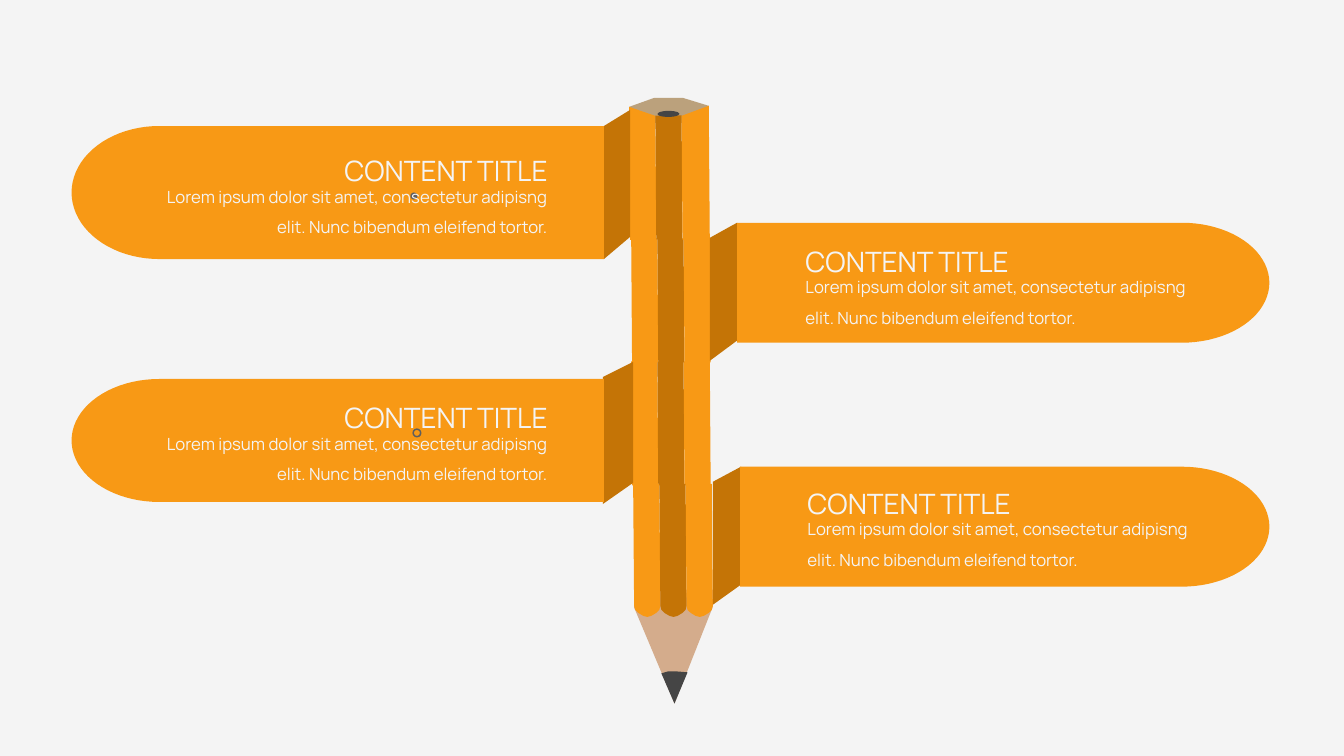
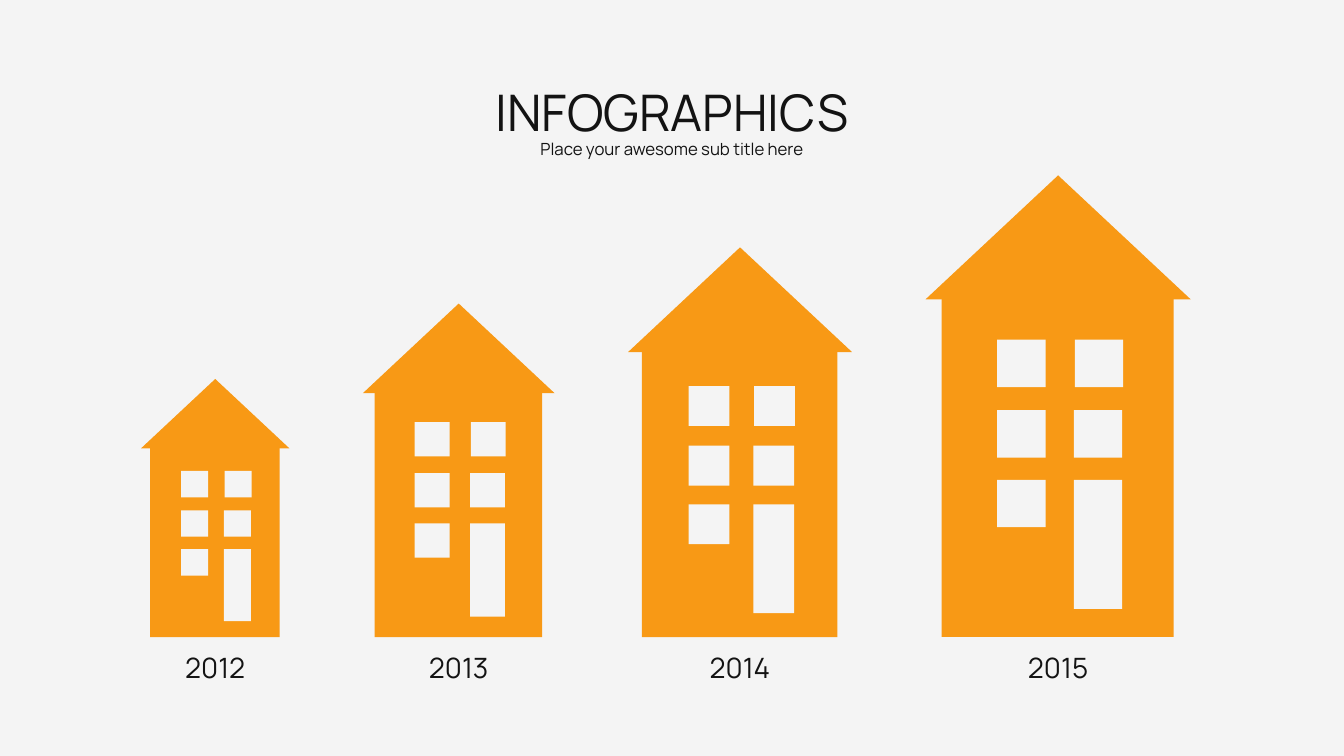
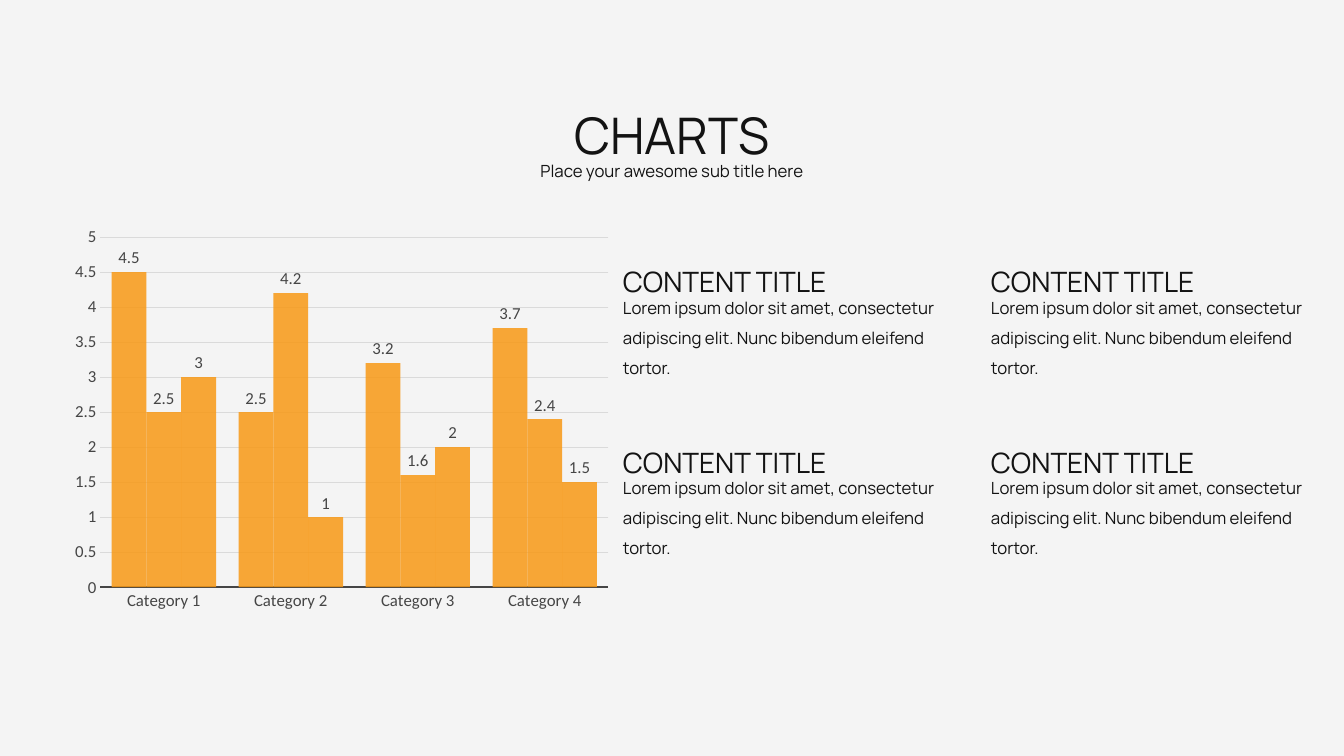
from math import cos, pi, sin

from lxml.etree import SubElement
from pptx import Presentation
from pptx.chart.data import CategoryChartData
from pptx.dml.color import RGBColor
from pptx.enum.chart import XL_CHART_TYPE as ChartType, XL_LABEL_POSITION as LabelPosition, XL_TICK_MARK as TickMark
from pptx.enum.shapes import MSO_SHAPE as Preset
from pptx.enum.text import MSO_AUTO_SIZE as AutoSize, PP_ALIGN as Align
from pptx.oxml.ns import qn
from pptx.util import Inches, Pt

COLORS = {
    "background": "F4F4F4",
    "orange": "F89915",
    "shade": "C47406",
    "wood": "BBA17C",
    "cone": "D4AC8C",
    "lead": "454545",
    "mark": "5E5E5E",
    "text": "131313",
    "grid": "DADADA",
    "chart": "070707",
}
FONT = "Manrope"
CHART_FONT = "Calibri"
SUBTITLE = "Place your awesome sub title here"
CONTENT_TITLE = "CONTENT TITLE"
BANNER_TEXT = "Lorem ipsum dolor sit amet, consectetur adipisng elit. Nunc bibendum eleifend tortor."
CONTENT_TEXT = "Lorem ipsum dolor sit amet, consectetur adipiscing elit. Nunc bibendum eleifend tortor."


def rgb(name):
    return RGBColor.from_string(COLORS[name])


def paint(shape, color):
    shape.shadow.inherit = False
    shape.fill.solid()
    shape.fill.fore_color.rgb = rgb(color)
    shape.line.fill.background()
    return shape


def add_preset(slide, preset, box, color, rotation=0):
    shape = paint(slide.shapes.add_shape(preset, *map(Inches, box)), color)
    shape.rotation = rotation
    return shape


def add_outline(slide, left, top, points, color):
    corners = [(Inches(left + x), Inches(top + y)) for x, y in points]
    builder = slide.shapes.build_freeform(*corners[0], scale=1.0)
    builder.add_line_segments(corners[1:], close=True)
    return paint(builder.convert_to_shape(), color)


def add_text(slide, box, text, size, color="text", align=Align.LEFT):
    text_frame = slide.shapes.add_textbox(*map(Inches, box)).text_frame
    text_frame.word_wrap = True
    text_frame.auto_size = AutoSize.SHAPE_TO_FIT_TEXT
    text_frame.text = text
    paragraph = text_frame.paragraphs[0]
    paragraph.alignment = align
    paragraph.line_spacing = 1.5
    font = paragraph.runs[0].font
    font.name = FONT
    font.size = Pt(size)
    font.color.rgb = rgb(color)


def add_slide(presentation):
    slide = presentation.slides.add_slide(presentation.slide_layouts[6])
    slide.background.fill.solid()
    slide.background.fill.fore_color.rgb = rgb("background")
    return slide


def add_heading(slide, top, title):
    add_text(slide, (0.62, top + 0.77, 12.09, 0.31), SUBTITLE, 12, align=Align.CENTER)
    add_text(slide, (0.62, top, 12.09, 1.01), title, 36, align=Align.CENTER)


def add_content(slide, left, top, width, body, color="text", right=False):
    add_text(slide, (left, top + 0.39, width, 0.67), body, 12, color,
             Align.RIGHT if right else Align.LEFT)
    add_text(slide, (left, top, width, 0.55), CONTENT_TITLE, 20, color,
             Align.RIGHT if right else Align.JUSTIFY)


def add_pencil(slide, left, top):
    tilt, length, facet = 269.6, 1.23, 0.26
    facet_colors = ("orange", "shade", "orange")

    def add_facet(x, y, color):
        add_preset(slide, Preset.RECTANGLE, (left + x, top + y, length, facet), color, tilt)

    for y in (3.1, 1.88):
        for column, color in enumerate(facet_colors):
            add_facet(-0.46 + column * facet, y, color)
    add_outline(slide, left, top, [(0.2, 0.25), (0, 0.09), (0.25, 0), (0.53, 0), (0.79, 0.08), (0.59, 0.25)], "wood")
    add_outline(slide, left, top, [(0.26, 0.18), (0, 0.09), (0.01, 1.41), (0.27, 1.41)], "orange")
    add_facet(-0.22, 0.66, "shade")
    add_outline(slide, left, top, [(0.79, 0.08), (0.52, 0.18), (0.53, 1.41), (0.8, 1.4)], "orange")
    add_preset(slide, Preset.OVAL, (left + 0.36, top + 0.05, 0.06, 0.22), "lead", tilt)
    add_outline(slide, left, top, [(0.83, 5.05), (0.45, 6.01), (0.05, 5.06), (0.05, 4.88), (0.83, 4.88)], "cone")
    tip = [(0, 0), (0.01, 1.21), (0.02, 1.25), (0.05, 1.28), (0.1, 1.31), (0.14, 1.32),
           (0.18, 1.31), (0.23, 1.28), (0.26, 1.25), (0.27, 1.21), (0.26, 0)]
    for column, color in enumerate(facet_colors):
        add_outline(slide, left + 0.04 + column * facet, top + 3.83, tip, color)
    add_outline(slide, left, top, [(0.32, 5.71), (0.39, 5.69), (0.46, 5.69), (0.58, 5.7), (0.45, 6.01)], "lead")


def add_banner(slide, left, top, width, height, fold, round_left):
    radius = 0.87
    arc = [(width - radius + radius * sin(pi * step / 40), height / 2 * (1 - cos(pi * step / 40)))
           for step in range(41)]
    outline = [(0, 0), *arc, (0, height)]
    if round_left:
        outline = [(width - x, y) for x, y in outline]
    add_outline(slide, 0, 0, fold, "shade")
    add_outline(slide, left, top, outline, "orange")


def build_pencil_slide(presentation):
    slide = add_slide(presentation)
    add_pencil(slide, 6.24, 0.97)
    banners = [
        (7.31, 2.21, 5.28, 1.19, [(7.04, 2.36), (7.31, 2.21), (7.31, 3.38), (7.04, 3.58)], False),
        (7.34, 4.63, 5.25, 1.19, [(7.07, 4.78), (7.35, 4.63), (7.35, 5.8), (7.07, 6)], False),
        (0.71, 1.25, 5.28, 1.32, [(5.99, 1.25), (6.25, 1.09), (6.25, 2.35), (5.99, 2.57)], True),
        (0.71, 3.76, 5.28, 1.22, [(5.98, 3.74), (6.28, 3.59), (6.28, 4.79), (5.98, 5)], True),
    ]
    for banner in banners:
        add_banner(slide, *banner)
    ring = add_preset(slide, Preset.DONUT, (4.09, 4.25, 0.09, 0.09), "mark")
    ring.adjustments[0] = 0.17
    add_preset(slide, Preset.OVAL, (4.07, 1.91, 0.07, 0.07), "mark")
    for left, top, right in ((7.89, 2.21, False), (7.91, 4.61, False), (1.41, 1.31, True), (1.41, 3.76, True)):
        add_content(slide, left, top, 4.12, BANNER_TEXT, "background", right)


def add_house(slide, left, bottom, width, year):
    scale = width / 2.63
    top = bottom - 4.58 * scale

    def add_part(preset, box, color):
        x, y, part_width, part_height = (value * scale for value in box)
        add_preset(slide, preset, (left + x, top + y, part_width, part_height), color)

    add_part(Preset.RECTANGLE, (0.16, 1.17, 2.3, 3.41), "orange")
    add_part(Preset.ISOSCELES_TRIANGLE, (0, 0, 2.63, 1.23), "orange")
    add_part(Preset.RECTANGLE, (1.47, 3.02, 0.48, 1.28), "background")
    for x, y in ((0.71, 3.02), (0.71, 2.33), (1.47, 2.33), (0.71, 1.63), (1.48, 1.63)):
        add_part(Preset.RECTANGLE, (x, y, 0.48, 0.47), "background")
    add_text(slide, (left + width / 2 - 1.03, bottom - 0.08, 2.06, 0.55), year, 20, align=Align.CENTER)


def build_houses_slide(presentation):
    slide = add_slide(presentation)
    add_heading(slide, 0.46, "INFOGRAPHICS")
    houses = ((1.4, 1.47, "2012"), (3.6, 1.9, "2013"), (6.23, 2.22, "2014"), (9.18, 2.63, "2015"))
    for left, width, year in houses:
        add_house(slide, left, 6.32, width, year)


def style_font(font, size, color):
    font.name = CHART_FONT
    font.size = Pt(size)
    font.color.rgb = rgb(color)


def set_plot_layout(chart, **place):
    plot_area = chart._chartSpace.chart.plotArea
    for layout in plot_area.findall(qn("c:layout")):
        plot_area.remove(layout)
    layout = SubElement(plot_area, qn("c:layout"))
    plot_area.insert(0, layout)
    manual = SubElement(layout, qn("c:manualLayout"))
    settings = {"layoutTarget": "inner", "xMode": "edge", "yMode": "edge", **place}
    for name, value in settings.items():
        SubElement(manual, qn(f"c:{name}")).set("val", str(value))


def add_column_chart(slide, left, top, width, height):
    data = CategoryChartData()
    data.categories = [f"Category {number}" for number in range(1, 5)]
    for number, values in enumerate(((4.5, 2.5, 3.2, 3.7), (2.5, 4.2, 1.6, 2.4), (3, 1, 2, 1.5)), 1):
        data.add_series(f"Series {number}", values)
    box = map(Inches, (left, top, width, height))
    chart = slide.shapes.add_chart(ChartType.COLUMN_CLUSTERED, *box, data).chart
    chart.has_legend = False
    chart.has_title = False
    style_font(chart.font, 10, "chart")
    set_plot_layout(chart, x=0.055, y=0.051, w=0.78, h=0.833)

    plot = chart.plots[0]
    plot.gap_width = 65
    plot.overlap = 0
    plot.vary_by_categories = False
    for series in plot.series:
        series.format.fill.solid()
        series.format.fill.fore_color.rgb = rgb("orange")
        for color in series._element.iter(qn("a:srgbClr")):
            SubElement(color, qn("a:alpha")).set("val", "85000")
        labels = series.data_labels
        labels.show_value = True
        labels.position = LabelPosition.OUTSIDE_END
        style_font(labels.font, 12, "lead")

    category_axis, value_axis = chart.category_axis, chart.value_axis
    for axis in (category_axis, value_axis):
        axis.major_tick_mark = TickMark.NONE
        axis.minor_tick_mark = TickMark.NONE
        style_font(axis.tick_labels.font, 12, "lead")
    category_axis.format.line.color.rgb = rgb("lead")
    category_axis.format.line.width = Pt(1.5)
    value_axis.minimum_scale = 0
    value_axis.maximum_scale = 5
    value_axis.major_unit = 0.5
    value_axis.format.line.fill.background()
    value_axis.major_gridlines.format.line.color.rgb = rgb("grid")
    value_axis.major_gridlines.format.line.width = Pt(0.75)


def build_chart_slide(presentation):
    slide = add_slide(presentation)
    add_heading(slide, 0.68, "CHARTS")
    add_column_chart(slide, 0.64, 2.14, 6.46, 4.17)
    for top in (2.41, 4.2):
        for left in (6.08, 9.73):
            add_content(slide, left, top, 3.41, CONTENT_TEXT)


def main():
    presentation = Presentation()
    presentation.slide_width = Inches(13.33)
    presentation.slide_height = Inches(7.5)
    build_pencil_slide(presentation)
    build_houses_slide(presentation)
    build_chart_slide(presentation)
    presentation.save("out.pptx")


if __name__ == "__main__":
    main()
